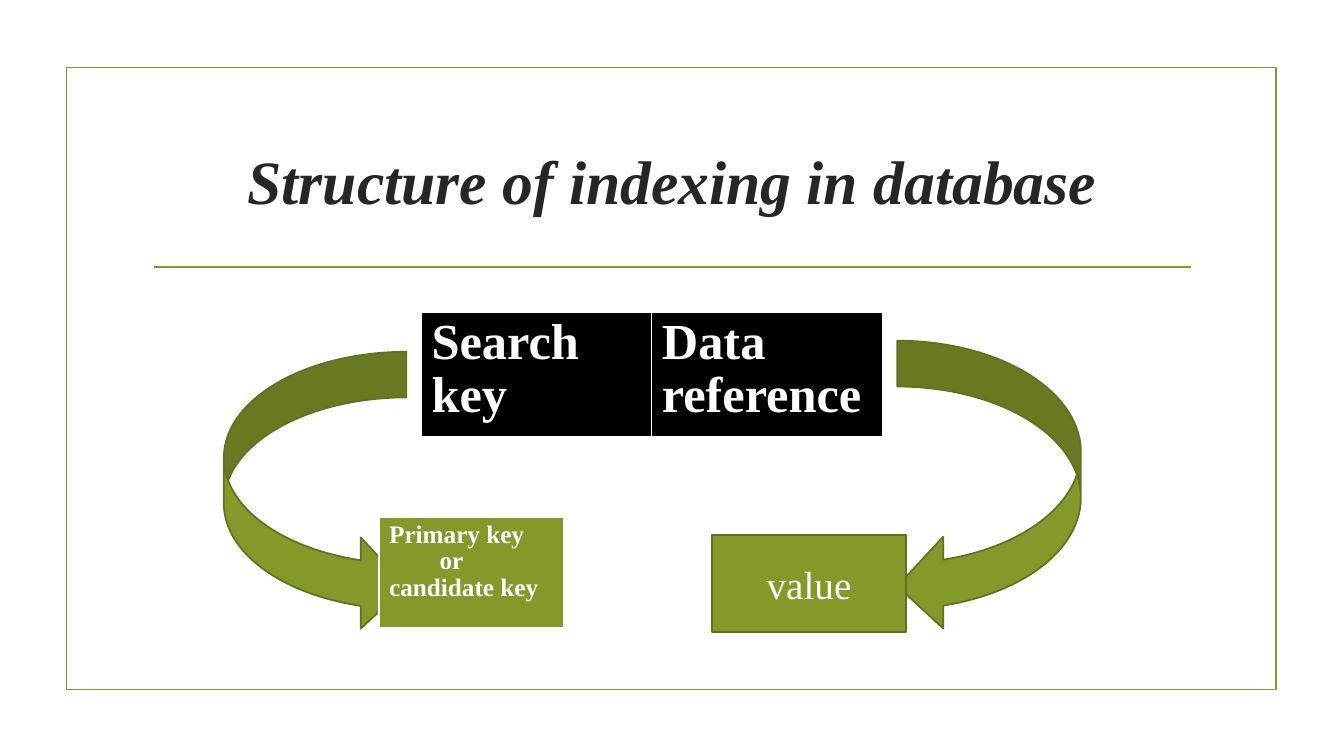
"""Build a slide showing the structure of a database index."""
from lxml import etree
from pptx import Presentation
from pptx.dml.color import RGBColor
from pptx.enum.shapes import MSO_CONNECTOR, MSO_SHAPE
from pptx.enum.text import MSO_ANCHOR, PP_ALIGN
from pptx.oxml.ns import qn
from pptx.util import Inches, Pt

RECTANGLE = MSO_SHAPE.RECTANGLE
RIGHT_ARROW = MSO_SHAPE.CURVED_RIGHT_ARROW
LEFT_ARROW = MSO_SHAPE.CURVED_LEFT_ARROW
STRAIGHT = MSO_CONNECTOR.STRAIGHT
MIDDLE = MSO_ANCHOR.MIDDLE
CENTER, LEFT = PP_ALIGN.CENTER, PP_ALIGN.LEFT

GREEN, DARK_GREEN = "83992A", "61711F"
WHITE, BLACK, INK = "FFFFFF", "000000", "262626"
FONT = "Times New Roman"
LINE_WIDTH = 1.25
BORDERS = {"a:lnL": 1, "a:lnR": 1, "a:lnT": 1, "a:lnB": 3}

TITLE = "Structure of indexing in database"
TITLE_AREA = (1.42, 1.07, 10.5, 1.43)
TITLE_FORMAT = {"size": Pt(44), "bold": True, "italic": True}
FRAME_AREA = (0.66, 0.67, 12, 6.17)
RULE = (1.53, 2.65, 11.81, 2.65)

INDEX_TABLE = {
    "area": (4.18, 3.1, 4.57, 0.97),
    "cells": [[("Search", 0), ("key", 0)], [("Data reference", 0)]],
    "size": 36,
    "fill": BLACK,
}
KEY_TABLE = {
    "area": (3.76, 5.13, 1.83, 1.11),
    "cells": [[("Primary key", 0), ("or", 0.5), ("candidate key", 0)]],
    "size": 18,
    "fill": GREEN,
}
ARROWS = [
    (RIGHT_ARROW, (2.22, 3.49, 1.81, 2.78)),
    (LEFT_ARROW, (8.9, 3.38, 1.82, 2.89)),
]
VALUE = "value"
VALUE_AREA = (7.06, 5.31, 1.93, 0.96)


def color(code):
    return RGBColor.from_string(code)


def inches(values):
    return [Inches(value) for value in values]


def write(para, text, ink, formats):
    span = para.add_run()
    span.text = text
    span.font.color.rgb = color(ink)
    for name, value in {"name": FONT, **formats}.items():
        setattr(span.font, name, value)


def write_centered(box, text, ink, formats):
    frame = box.text_frame
    frame.word_wrap = True
    frame.vertical_anchor = MIDDLE
    para = frame.paragraphs[0]
    para.alignment = CENTER
    write(para, text, ink, formats)


def add_outline(line, code):
    line.color.rgb = color(code)
    line.width = Pt(LINE_WIDTH)


def add_figure(page, kind, area, fill, outline):
    figure = page.shapes.add_shape(kind, *inches(area))
    figure.shadow.inherit = False
    if fill:
        figure.fill.solid()
        figure.fill.fore_color.rgb = color(fill)
    else:
        figure.fill.background()
    add_outline(figure.line, outline)
    return figure


def add_borders(cell):
    properties = cell._tc.get_or_add_tcPr()
    for index, (tag, width) in enumerate(BORDERS.items()):
        border = etree.Element(qn(tag), w=str(Pt(width)))
        fill = etree.SubElement(border, qn("a:solidFill"))
        etree.SubElement(fill, qn("a:srgbClr"), val=WHITE)
        properties.insert(index, border)


def add_cells(page, area, cells, size, fill):
    table = page.shapes.add_table(1, len(cells), *inches(area)).table
    for cell, lines in zip(table.iter_cells(), cells):
        cell.fill.solid()
        cell.fill.fore_color.rgb = color(fill)
        add_borders(cell)
        for index, (text, indent) in enumerate(lines):
            frame = cell.text_frame
            para = frame.add_paragraph() if index else frame.paragraphs[0]
            para.alignment = LEFT
            para.line_spacing = 0.95
            if indent:
                para._p.get_or_add_pPr().set("marL", str(Inches(indent)))
            write(para, text, WHITE, {"size": Pt(size), "bold": True})


def main():
    deck = Presentation()
    deck.slide_width, deck.slide_height = inches((13.33, 7.5))
    page = deck.slides.add_slide(deck.slide_layouts[6])

    add_figure(page, RECTANGLE, FRAME_AREA, None, GREEN)
    rule = page.shapes.add_connector(STRAIGHT, *inches(RULE))
    add_outline(rule.line, GREEN)
    etree.SubElement(rule._element.spPr, qn("a:effectLst"))

    title = page.shapes.add_textbox(*inches(TITLE_AREA))
    write_centered(title, TITLE, INK, TITLE_FORMAT)

    add_cells(page, **INDEX_TABLE)
    for kind, area in ARROWS:
        add_figure(page, kind, area, GREEN, DARK_GREEN)
    add_cells(page, **KEY_TABLE)
    value = add_figure(page, RECTANGLE, VALUE_AREA, GREEN, DARK_GREEN)
    write_centered(value, VALUE, WHITE, {"size": Pt(28)})

    deck.save("out.pptx")


if __name__ == "__main__":
    main()
